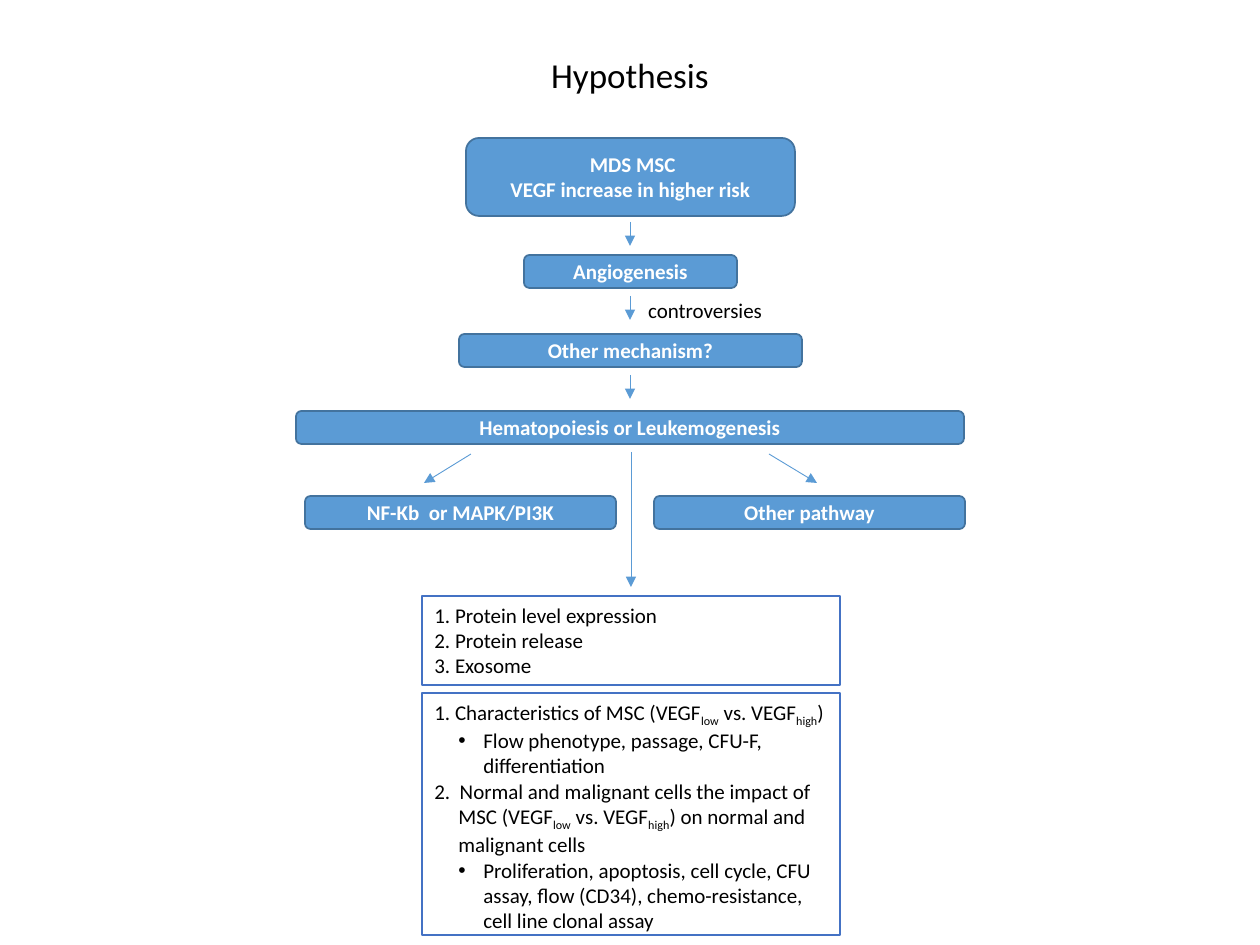
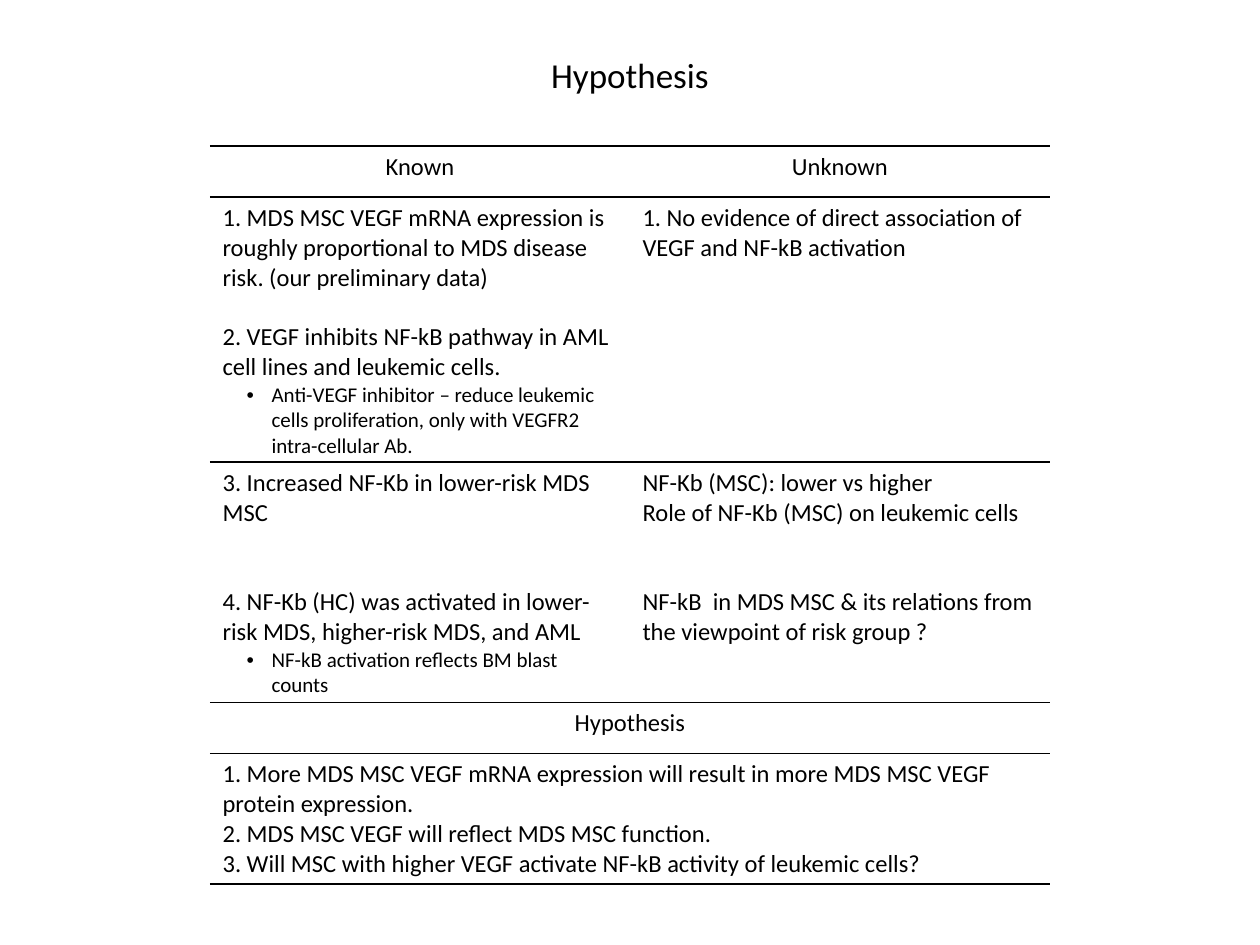
import lxml.etree
import pptx
import pptx.dml.color
import pptx.enum.shapes
import pptx.enum.text
import pptx.oxml.ns
import pptx.util

PX = 914400 / 126
FONT = "Calibri"
BLACK, WHITE = "000000", "FFFFFF"
STEP_FILL, STEP_EDGE, LIST_EDGE = "5B9BD5", "43739E", "4472C4"
NO_STYLE = "{2D5ABB26-0587-4C30-8999-92F81FD0307C}"
CENTER = pptx.enum.text.PP_ALIGN.CENTER
LEFT = pptx.enum.text.PP_ALIGN.LEFT
SHAPES = pptx.enum.shapes.MSO_SHAPE
qn = pptx.oxml.ns.qn
rgb = pptx.dml.color.RGBColor.from_string


def emu(*lengths):
    return [pptx.util.Emu(round(length * PX)) for length in lengths]


def write(frame, text, size=12, color=BLACK, bold=False, align=LEFT,
          margin=0, hang=0, bullet=False, before=0):
    """Add one paragraph; every second part between ~ marks is a subscript."""
    paragraph = frame.paragraphs[0] if not frame.text else frame.add_paragraph()
    paragraph.alignment = align
    properties = paragraph._p.get_or_add_pPr()
    if bullet:
        margin, hang = 49, 25
        lxml.etree.SubElement(properties, qn("a:buFont"), typeface="Arial")
        lxml.etree.SubElement(properties, qn("a:buChar"), char="•")
    if margin:
        properties.set("marL", str(emu(margin)[0]))
        properties.set("indent", str(-emu(hang)[0]))
    if before:
        paragraph.space_before = pptx.util.Pt(before)
    for position, part in enumerate(text.split("~")):
        run = paragraph.add_run()
        run.text = part
        run.font.name, run.font.bold = FONT, bold
        run.font.size = pptx.util.Pt(size)
        run.font.color.rgb = rgb(color)
        if position % 2:
            run._r.get_or_add_rPr().set("baseline", "-25000")


deck = pptx.Presentation()
deck.slide_width, deck.slide_height = emu(1260, 945)
slides = [deck.slides.add_slide(deck.slide_layouts[6]) for _ in range(2)]
for slide in slides:
    title = slide.shapes.add_textbox(*emu(38, 47, 1184, 55)).text_frame
    title.word_wrap = True
    write(title, "Hypothesis", size=20, align=CENTER)
flow, summary = slides

# Flow of the hypothesis
steps = [
    (466, 138, 329, 78, [" MDS MSC", "VEGF increase in higher risk"]),
    (524, 255, 213, 33, ["Angiogenesis"]),
    (459, 334, 343, 33, ["Other mechanism?"]),
    (296, 411, 668, 33, ["Hematopoiesis or Leukemogenesis"]),
    (305, 496, 311, 33, ["NF-Kb  or MAPK/PI3K"]),
    (654, 496, 311, 33, ["Other pathway"]),
]
for *place, lines in steps:
    step = flow.shapes.add_shape(SHAPES.ROUNDED_RECTANGLE, *emu(*place))
    step.shadow.inherit = False
    step.fill.solid()
    step.fill.fore_color.rgb = rgb(STEP_FILL)
    step.line.color.rgb = rgb(STEP_EDGE)
    step.line.width = pptx.util.Pt(1)
    for line in lines:
        write(step.text_frame, line, color=WHITE, bold=True, align=CENTER)

arrows = [
    (630, 222, 630, 246), (630, 296, 630, 320), (630, 375, 630, 399),
    (471, 454, 424, 483), (769, 454, 817, 483), (631, 452, 631, 587),
]
for ends in arrows:
    arrow = flow.shapes.add_connector(
        pptx.enum.shapes.MSO_CONNECTOR.STRAIGHT, *emu(*ends))
    arrow.line.color.rgb = rgb(STEP_FILL)
    arrow.line.width = pptx.util.Pt(0.5)
    lxml.etree.SubElement(arrow.line._get_or_add_ln(), qn("a:tailEnd"), type="triangle")
    lxml.etree.SubElement(arrow._element.spPr, qn("a:effectLst"))

controversies = flow.shapes.add_textbox(*emu(631, 291, 146, 38)).text_frame
controversies.word_wrap = False
write(controversies, " controversies")

numbered = dict(margin=24, hang=24)
bulleted = dict(bullet=True)
study_lists = [
    (596, 89, [("1. Protein level expression", {}),
               ("2. Protein release", {}),
               ("3. Exosome", {})]),
    (693, 242, [
        ("1. Characteristics of MSC (VEGF~low~ vs. VEGF~high~)", numbered),
        ("Flow phenotype, passage, CFU-F, differentiation", bulleted),
        ("2.  Normal and malignant cells the impact of MSC (VEGF~low~ vs. "
         "VEGF~high~) on normal and malignant cells", numbered),
        ("Proliferation, apoptosis, cell cycle, CFU assay, flow (CD34), "
         "chemo-resistance, cell line clonal assay", bulleted)]),
]
for top, height, items in study_lists:
    study = flow.shapes.add_shape(SHAPES.RECTANGLE, *emu(422, top, 418, height))
    study.shadow.inherit = False
    study.fill.background()
    study.line.color.rgb = rgb(LIST_EDGE)
    study.line.width = pptx.util.Pt(0.75)
    study.text_frame.vertical_anchor = pptx.enum.text.MSO_ANCHOR.TOP
    for text, style in items:
        write(study.text_frame, text, **style)

# Known and unknown facts, with the hypothesis below
heading = dict(align=CENTER)
detail = dict(bullet=True, size=12)
one_line, two_lines = dict(before=17), dict(before=34)
rows = [
    (51, [[("Known", heading)], [("Unknown", heading)]]),
    (265, [
        [("1. MDS MSC VEGF mRNA expression is roughly proportional to MDS "
          "disease risk. (our preliminary data)", {}),
         ("2. VEGF inhibits NF-kB pathway in AML cell lines and leukemic cells.",
          one_line),
         ("Anti-VEGF inhibitor – reduce leukemic cells proliferation, only "
          "with VEGFR2 intra-cellular Ab.", detail)],
        [("1. No evidence of direct association of VEGF and NF-kB activation", {})]]),
    (239, [
        [("3. Increased NF-Kb in lower-risk MDS MSC", {}),
         ("4. NF-Kb (HC) was activated in lower-risk MDS, higher-risk MDS, "
          "and AML", two_lines),
         ("NF-kB activation reflects BM blast counts", detail)],
        [("NF-Kb (MSC): lower vs higher", {}),
         ("Role of NF-Kb (MSC) on leukemic cells", {}),
         ("NF-kB  in MDS MSC & its relations from the viewpoint of risk group ?",
          two_lines)]]),
    (51, [[("Hypothesis", heading)]]),
    (131, [
        [("1. More MDS MSC VEGF mRNA expression will result in more MDS MSC "
          "VEGF protein expression.", {}),
         ("2. MDS MSC VEGF will reflect MDS MSC function.", {}),
         ("3. Will MSC with higher VEGF activate NF-kB activity of leukemic "
          "cells?", {})]]),
]
total = sum(height for height, _ in rows)
facts = summary.shapes.add_table(len(rows), 2, *emu(210, 146, 840, total)).table
facts.first_row = facts.horz_banding = False
facts._tbl.tblPr.find(qn("a:tableStyleId")).text = NO_STYLE
for row, (height, cells) in enumerate(rows):
    facts.rows[row].height = emu(height)[0]
    if len(cells) == 1:
        facts.cell(row, 0).merge(facts.cell(row, 1))
    for column, items in enumerate(cells):
        for text, style in items:
            write(facts.cell(row, column).text_frame, text, **{"size": 14, **style})
for cell in facts.iter_cells():
    cell.fill.background()
    for position, edge in enumerate(("a:lnT", "a:lnB")):
        border = lxml.etree.Element(qn(edge), w=str(pptx.util.Pt(1)))
        paint = lxml.etree.SubElement(border, qn("a:solidFill"))
        lxml.etree.SubElement(paint, qn("a:srgbClr"), val=BLACK)
        cell._tc.get_or_add_tcPr().insert(position, border)

deck.save("out.pptx")
